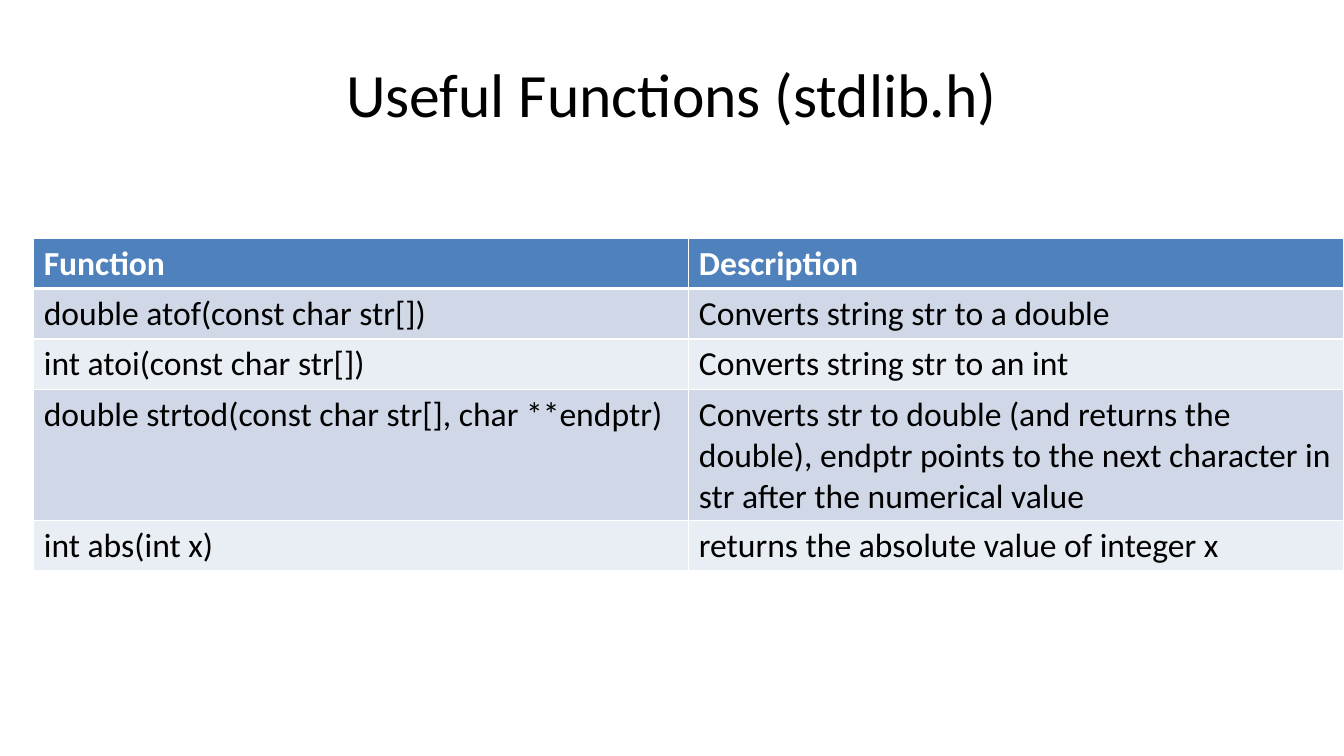
from dataclasses import dataclass

from lxml import etree
from pptx import Presentation
from pptx.dml.color import RGBColor
from pptx.enum.text import MSO_ANCHOR, PP_ALIGN
from pptx.oxml.ns import qn
from pptx.util import Cm, Pt

MIDDLE = MSO_ANCHOR.MIDDLE
CENTER = PP_ALIGN.CENTER
FONT = "Calibri"
COLORS = {
    "text": "000000",
    "light": "FFFFFF",
    "head": "4F81BD",
    "odd": "D0D8E8",
    "even": "E9EDF4",
}
THIN, THICK = Pt(1), Pt(3)


@dataclass
class Entry:
    name: str
    about: str


HEAD = Entry("Function", "Description")
ENTRIES = [
    Entry("double atof(const char str[])", "Converts string str to a double"),
    Entry("int atoi(const char str[])", "Converts string str to an int"),
    Entry(
        "double strtod(const char str[], char **endptr)",
        "Converts str to double (and returns the double), endptr points to "
        "the next character in str after the numerical value",
    ),
    Entry("int abs(int x)", "returns the absolute value of integer x"),
]


def color(key: str) -> RGBColor:
    return RGBColor.from_string(COLORS[key])


def style(para, size: int, key: str, bold: bool = False) -> None:
    font = para.font
    font.name, font.size, font.bold = FONT, Pt(size), bold
    font.color.rgb = color(key)


def add_edges(cell, top: int, bottom: int) -> None:
    props = cell._tc.get_or_add_tcPr()
    edges = {"lnL": THIN, "lnR": THIN, "lnT": top, "lnB": bottom}
    # Edges must come before the cell fill
    for place, (tag, width) in enumerate(edges.items()):
        line = etree.Element(qn(f"a:{tag}"), w=str(int(width)))
        fill = etree.SubElement(line, qn("a:solidFill"))
        etree.SubElement(fill, qn("a:srgbClr"), val=COLORS["light"])
        props.insert(place, line)


def fill_row(table, row: int, entry: Entry) -> None:
    is_head = row == 0
    back = "head" if is_head else "odd" if row % 2 else "even"
    for col, text in enumerate((entry.name, entry.about)):
        cell = table.cell(row, col)
        cell.text = text
        style(cell.text_frame.paragraphs[0], 24,
              "light" if is_head else "text", is_head)
        cell.fill.solid()
        cell.fill.fore_color.rgb = color(back)
        add_edges(cell, THICK if row == 1 else THIN,
                  THICK if is_head else THIN)


deck = Presentation()
deck.slide_width, deck.slide_height = Cm(33.87), Cm(19.05)
slide = deck.slides.add_slide(deck.slide_layouts[6])

# Title
title = slide.shapes.add_textbox(Cm(1.69), Cm(0.76), Cm(30.48), Cm(3.18))
frame = title.text_frame
frame.word_wrap = True
frame.vertical_anchor = MIDDLE
frame.text = "Useful Functions (stdlib.h)"
frame.paragraphs[0].alignment = CENTER
style(frame.paragraphs[0], 44, "text")

# Function table
rows = [HEAD, *ENTRIES]
table = slide.shapes.add_table(
    len(rows), 2, Cm(0.85), Cm(6), Cm(33.02), Cm(1.04) * len(rows)
).table
for row, entry in enumerate(rows):
    fill_row(table, row, entry)

deck.save("out.pptx")
